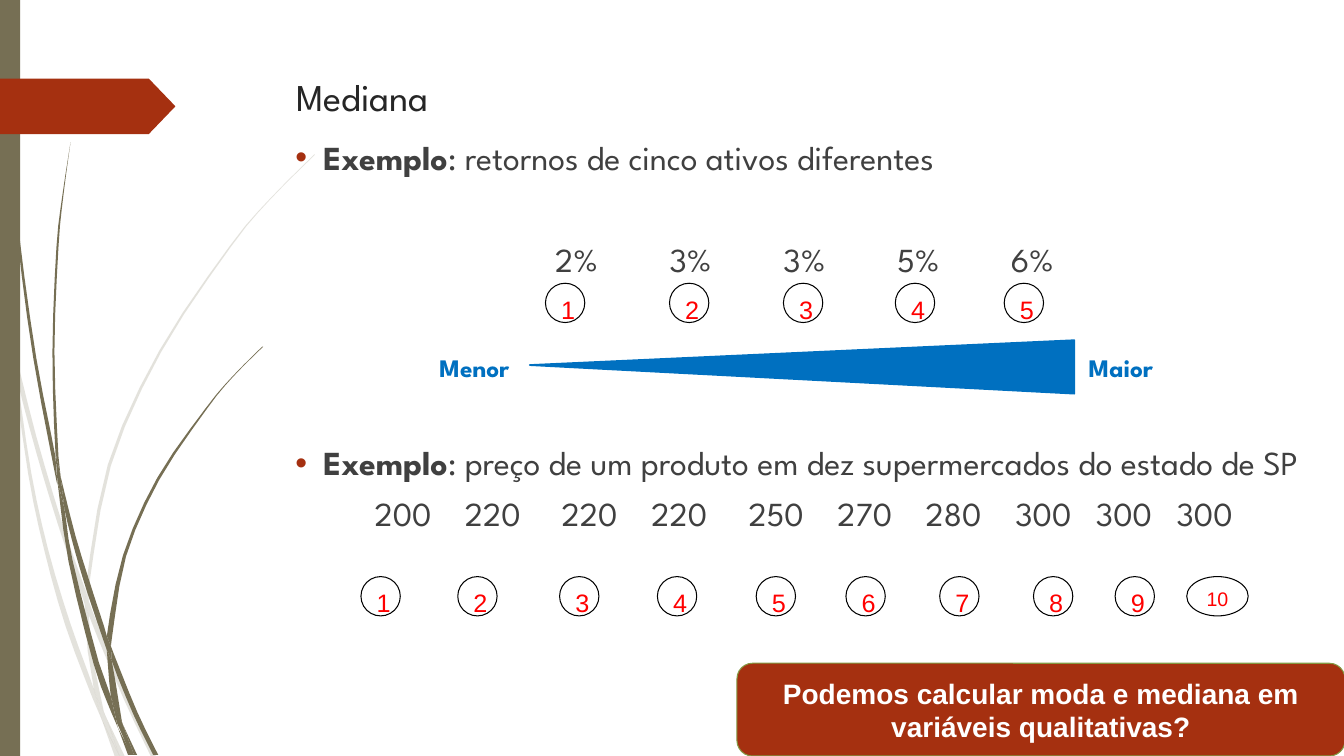
from lxml import etree
from math import dist
from pptx import Presentation
from pptx.dml.color import RGBColor
from pptx.enum.shapes import MSO_SHAPE
from pptx.enum.text import MSO_ANCHOR, MSO_AUTO_SIZE, PP_ALIGN
from pptx.oxml.ns import qn
from pptx.util import Pt

PX = 9144
RECT, TAG, ROUNDED = MSO_SHAPE.RECTANGLE, MSO_SHAPE.PENTAGON, MSO_SHAPE.ROUNDED_RECTANGLE
OVAL, TRIANGLE = MSO_SHAPE.OVAL, MSO_SHAPE.ISOSCELES_TRIANGLE
CENTER, TOP, MIDDLE = PP_ALIGN.CENTER, MSO_ANCHOR.TOP, MSO_ANCHOR.MIDDLE
FIT = MSO_AUTO_SIZE.SHAPE_TO_FIT_TEXT

THEME = {
    "olive": "766F54", "rust": "A53010", "moss": "839943", "blue": "0070C0",
    "red": "FF0000", "white": "FFFFFF", "black": "000000", "title": "262626", "body": "404040",
    "heading_font": "League Spartan", "number_font": "Arial",
    "title_size": 27, "body_size": 24, "callout_size": 20, "label_size": 18, "small_size": 14,
}

prs = Presentation()
prs.slide_width, prs.slide_height = 1333 * PX, 750 * PX
slide = prs.slides.add_slide(prs.slide_layouts[6])
shapes = slide.shapes


def paint(shape, fill, line=None, width=0.75, opacity=100):
    shape.shadow.inherit = False
    shape.fill.solid()
    shape.fill.fore_color.rgb = RGBColor.from_string(THEME[fill])
    if opacity < 100:
        color = shape._element.spPr.find(qn("a:solidFill")).find(qn("a:srgbClr"))
        etree.SubElement(color, qn("a:alpha"), val=str(opacity * 1000))
    if line:
        shape.line.color.rgb = RGBColor.from_string(THEME[line])
        shape.line.width = Pt(width)
    else:
        shape.line.fill.background()


def write(paragraph, text, color, size, font="heading_font", bold=False):
    run = paragraph.add_run()
    run.text = text
    run.font.color.rgb = RGBColor.from_string(THEME[color])
    formats = {"name": THEME[font], "size": Pt(THEME[size]), "bold": bold}
    for attribute, value in formats.items():
        setattr(run.font, attribute, value)


pale_blades = [
    ([(0, 299), (10, 344), (11, 350)], [(0, 282), (9, 322), (11, 350)]),
    ([(14, 345), (17, 376), (36, 449), (58, 522), (84, 599)],
     [(14, 345), (36, 433), (62, 520), (85, 586)]),
    ([(88, 596), (88, 610), (123, 694), (150, 751)], [(88, 596), (92, 607), (127, 692), (155, 751)]),
    ([(105, 711), (119, 751)], [(105, 711), (124, 751)]),
    ([(11, 350), (28, 470), (44, 546), (65, 621), (92, 693), (101, 714)],
     [(11, 350), (17, 376), (31, 469), (48, 546), (70, 619), (93, 683), (99, 707), (101, 714)]),
    ([(84, 599), (87, 646), (93, 683), (96, 692), (105, 711)],
     [(84, 599), (88, 610), (91, 646), (103, 706), (105, 711)]),
    ([(312, 153), (268, 197), (228, 244), (158, 348), (107, 461), (85, 584), (88, 596)],
     [(312, 154), (268, 198), (229, 245), (160, 349), (110, 462), (88, 584), (88, 596)]),
    ([(101, 714), (114, 751)], [(101, 714), (119, 751)]),
    ([(85, 586), (84, 599), (88, 610)], [(85, 586), (88, 596), (88, 610)]),
    ([(93, 683), (99, 707), (101, 714), (119, 751)], [(93, 683), (96, 692), (105, 711), (119, 751)]),
]
dark_blades = [
    ([(3, 0), (4, 48), (7, 110), (17, 233), (33, 355), (56, 477), (57, 481)],
     [(4, 0), (5, 48), (8, 109), (19, 232), (36, 355), (55, 453), (57, 481)]),
    ([(60, 472), (64, 505), (75, 549), (88, 592), (106, 645)],
     [(60, 472), (75, 532), (93, 590), (106, 631), (106, 645)]),
    ([(110, 641), (111, 656), (132, 708), (152, 749)],
     [(110, 641), (113, 649), (136, 706), (157, 749)]),
    ([(57, 477), (68, 557), (93, 659), (111, 708), (117, 722)],
     [(57, 477), (64, 505), (72, 556), (98, 657), (110, 691), (117, 722)]),
    ([(70, 141), (62, 193), (56, 245), (52, 349), (55, 449), (60, 472)],
     [(70, 141), (63, 193), (58, 245), (54, 349), (58, 453), (60, 472)]),
    ([(122, 719), (133, 749)], [(122, 719), (136, 749)]),
    ([(55, 449), (57, 477), (64, 505)], [(55, 449), (60, 472), (64, 505)]),
    ([(260, 344), (231, 373), (204, 405), (156, 474), (122, 551), (106, 631), (110, 641)],
     [(261, 344), (231, 374), (205, 406), (158, 476), (125, 552), (111, 633), (110, 641)]),
    ([(117, 722), (127, 749)], [(117, 722), (131, 749)]),
    ([(106, 645), (110, 691), (116, 706), (122, 719)], [(106, 645), (111, 656), (121, 716), (122, 719)]),
    ([(106, 631), (106, 645), (111, 656)], [(106, 631), (110, 641), (111, 656)]),
    ([(110, 691), (116, 717), (130, 749)], [(110, 691), (122, 719), (133, 749)]),
]
LONG_SPAN = 40
for blades, opacity in [(pale_blades, 20), (dark_blades, 100)]:
    for edges in blades:
        sides = []
        for edge in edges:
            side = []
            padded = [edge[0], *edge, edge[-1]]
            for before, start, end, after in zip(padded, padded[1:], padded[2:], padded[3:]):
                for t in (0, 1 / 3, 2 / 3) if dist(start, end) > LONG_SPAN else (0,):
                    side.append(tuple(
                        PX * (2 * b + (c - a) * t + (2 * a - 5 * b + 4 * c - d) * t ** 2
                              + (3 * b - a - 3 * c + d) * t ** 3) / 2
                        for a, b, c, d in zip(before, start, end, after)
                    ))
            side.append((edge[-1][0] * PX, edge[-1][1] * PX))
            sides.append(side)
        outline = sides[0] + sides[1][::-1]
        builder = shapes.build_freeform(*outline[0], scale=1.0)
        builder.add_line_segments(outline[1:], close=True)
        paint(builder.convert_to_shape(), "olive", opacity=opacity)

side_bar = shapes.add_shape(RECT, 0, 0, 20 * PX, 750 * PX)
paint(side_bar, "olive")
page_tag = shapes.add_shape(TAG, 0, 78 * PX, 174 * PX, 55 * PX)
page_tag.adjustments[0] = 0.48
paint(page_tag, "rust")

title = shapes.add_textbox(284 * PX, 68 * PX, 975 * PX, 140 * PX).text_frame
title.word_wrap = True
write(title.paragraphs[0], "Mediana", "title", "title_size")

BODY_LEFT, INSET = 283, 10
returns = ["2%", "3%", "3%", "5%", "6%"]
prices = ["200", "220", "220", "220", "250", "270", "280", "300", "300", "300"]
return_centers = [572 + 113 * i for i in range(len(returns))]
price_centers = [400, 489, 585, 674, 770, 858, 946, 1035, 1115, 1195]
examples = [
    (": retornos de cinco ativos diferentes", 7.5, returns, return_centers, 44),
    (": preço de um produto em dez supermercados do estado de SP", 116.5,
     prices, price_centers, 7.5),
]
body = shapes.add_textbox(BODY_LEFT * PX, 131 * PX, 1029 * PX, 583 * PX).text_frame
body.word_wrap = True
for index, (statement, gap, values, centers, values_gap) in enumerate(examples):
    heading = body.add_paragraph() if index else body.paragraphs[0]
    heading.space_before = Pt(gap)
    write(heading, "Exemplo", "body", "body_size", bold=True)
    write(heading, statement, "body", "body_size")
    properties = heading._p.get_or_add_pPr()
    properties.set("marL", str(28 * PX))
    properties.set("indent", str(-28 * PX))
    bullet_color = etree.SubElement(properties, qn("a:buClr"))
    etree.SubElement(bullet_color, qn("a:srgbClr"), val=THEME["rust"])
    etree.SubElement(properties, qn("a:buFont"), typeface=THEME["number_font"])
    etree.SubElement(properties, qn("a:buChar"), char="•")

    row = body.add_paragraph()
    row.space_before = Pt(values_gap)
    write(row, "".join("\t" + value for value in values), "body", "body_size")
    tabs = etree.SubElement(row._p.get_or_add_pPr(), qn("a:tabLst"))
    for center in centers:
        position = (center - BODY_LEFT - INSET) * PX
        etree.SubElement(tabs, qn("a:tab"), pos=str(position), algn="ctr")

callout = shapes.add_shape(ROUNDED, 731 * PX, 658 * PX, 603 * PX, 92 * PX)
paint(callout, "rust", "moss")
callout.text_frame.vertical_anchor = MIDDLE
question = callout.text_frame.paragraphs[0]
question.alignment = CENTER
write(question, "Podemos calcular moda e mediana em variáveis qualitativas?",
      "white", "callout_size", "number_font", True)

rank_rows = [
    (572, [358, 454, 555, 652, 750, 839, 932, 1025, 1106, 1177]),
    (281, [541, 664, 777, 888, 996]),
]
for top, lefts in rank_rows:
    for rank, left in enumerate(lefts, 1):
        width, size = (61, "small_size") if rank == 10 else (39, "label_size")
        circle = shapes.add_shape(OVAL, left * PX, top * PX, width * PX, 39 * PX)
        paint(circle, "white", "black")
        circle.text_frame.vertical_anchor = TOP
        number = circle.text_frame.paragraphs[0]
        number.alignment = CENTER
        write(number, str(rank), "red", size, "number_font")

wedge = shapes.add_shape(TRIANGLE, 769 * PX, 94 * PX, 53 * PX, 540 * PX)
wedge.adjustments[0] = 0.535
wedge.rotation = 270
paint(wedge, "blue", "blue", 1.25)

for text, left, width in [("Menor", 426, 99), ("Maior", 1070, 90)]:
    label = shapes.add_textbox(left * PX, 345 * PX, width * PX, 40 * PX).text_frame
    label.word_wrap = False
    label.auto_size = FIT
    write(label.paragraphs[0], text, "blue", "label_size", bold=True)

prs.save("out.pptx")
